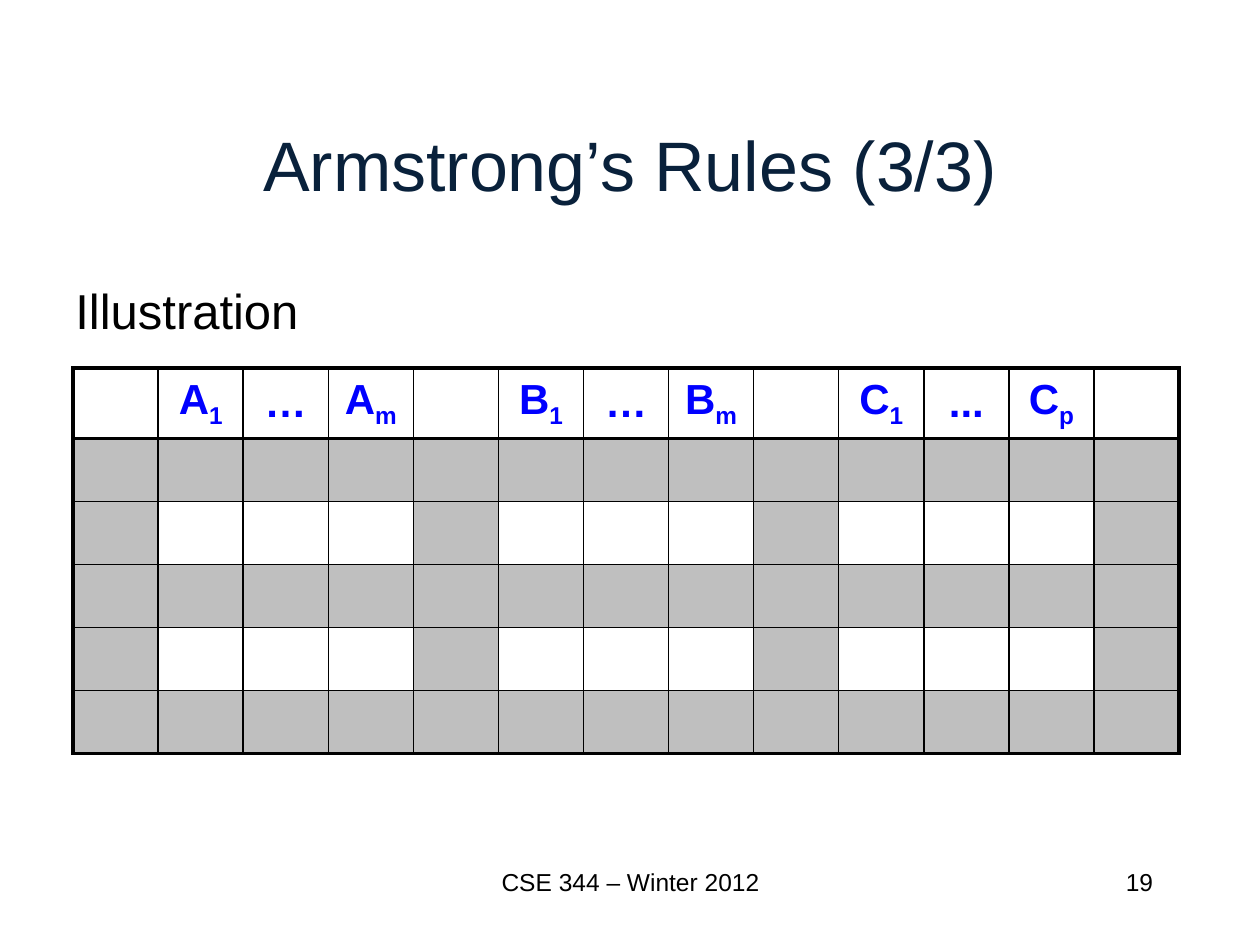
import pptx
import pptx.util
import pptx.dml.color
import pptx.enum.text
import pptx.oxml
import pptx.oxml.ns

Inches = pptx.util.Inches
Pt = pptx.util.Pt
Align = pptx.enum.text.PP_ALIGN
Anchor = pptx.enum.text.MSO_ANCHOR

BLACK = pptx.dml.color.RGBColor(0x00, 0x00, 0x00)
NAVY = pptx.dml.color.RGBColor(0x09, 0x21, 0x3B)
BLUE = pptx.dml.color.RGBColor(0x00, 0x00, 0xFF)
GRAY = pptx.dml.color.RGBColor(0xBF, 0xBF, 0xBF)

TITLE_FONT = {"name": "Arial", "size": Pt(40), "color": NAVY}
LABEL_FONT = {"name": "Arial", "size": Pt(28), "color": BLACK}
FOOTER_FONT = {"name": "Arial", "size": Pt(14), "color": BLACK}
HEADER_FONT = {"name": "Arial", "size": Pt(24), "color": BLUE, "bold": True}

THIN, THICK = 1, 2.25
HEADER_HEIGHT, ROW_HEIGHT, ROW_COUNT = 0.56, 0.5, 6
GROUPS = [("A", "…", "m"), ("B", "…", "m"), ("C", "...", "p")]
GROUP_SPAN = 4
COLUMN_COUNT = len(GROUPS) * GROUP_SPAN + 1


def format_font(font, values):
    for name, value in values.items():
        if name == "color":
            font.color.rgb = value
        else:
            setattr(font, name, value)


def write_text(shape, text, font, alignment, anchor=Anchor.TOP, wrap=True):
    frame = shape.text_frame
    frame.word_wrap = wrap
    frame.vertical_anchor = anchor
    paragraph = frame.paragraphs[0]
    paragraph.alignment = alignment
    run = paragraph.add_run()
    run.text = text
    format_font(run.font, font)


def place_title(slide, box, text):
    title = slide.shapes.title
    for name, value in zip(("left", "top", "width", "height"), box):
        setattr(title, name, Inches(value))
    write_text(title, text, TITLE_FONT, Align.CENTER, Anchor.MIDDLE)


def place_text(slide, box, *content, **options):
    shape = slide.shapes.add_textbox(*map(Inches, box))
    write_text(shape, *content, **options)


def set_borders(cell, widths):
    properties = cell._tc.get_or_add_tcPr()
    for side, width in widths.items():
        properties.append(pptx.oxml.parse_xml(
            f'<a:ln{side} {pptx.oxml.ns.nsdecls("a")} w="{int(Pt(width))}">'
            f'<a:solidFill><a:srgbClr val="{BLACK}"/></a:solidFill></a:ln{side}>'))


def write_header(cell, letter, subscript):
    cell.vertical_anchor = Anchor.MIDDLE
    paragraph = cell.text_frame.paragraphs[0]
    paragraph.alignment = Align.CENTER
    for text, baseline in ((letter, 0), (subscript, -25000)):
        if text:
            run = paragraph.add_run()
            run.text = text
            format_font(run.font, HEADER_FONT)
            run._r.get_or_add_rPr().set("baseline", str(baseline))


def place_table(slide, box):
    frame = slide.shapes.add_table(ROW_COUNT, COLUMN_COUNT, *map(Inches, box))
    table = frame.table
    table.first_row = table.horz_banding = False
    for column in table.columns:
        column.width = Inches(box[2] / COLUMN_COUNT)
    for index, row in enumerate(table.rows):
        row.height = Inches(ROW_HEIGHT if index else HEADER_HEIGHT)

    for row in range(ROW_COUNT):
        for column in range(COLUMN_COUNT):
            cell = table.cell(row, column)
            set_borders(cell, {
                "L": THICK if column == 0 else THIN,
                "R": THICK if column == COLUMN_COUNT - 1 else THIN,
                "T": THICK if row in (0, 1) else THIN,
                "B": THICK if row in (0, ROW_COUNT - 1) else THIN,
            })
            if row and (row % 2 or column % GROUP_SPAN == 0):
                cell.fill.solid()
                cell.fill.fore_color.rgb = GRAY
            else:
                cell.fill.background()

    for group, (letter, dots, last) in enumerate(GROUPS):
        labels = ((letter, "1"), (dots, ""), (letter, last))
        for offset, label in enumerate(labels, start=1):
            write_header(table.cell(0, group * GROUP_SPAN + offset), *label)


def main():
    presentation = pptx.Presentation()
    presentation.slide_width = Inches(10)
    presentation.slide_height = Inches(7.5)
    slide = presentation.slides.add_slide(presentation.slide_layouts[5])
    table_height = HEADER_HEIGHT + (ROW_COUNT - 1) * ROW_HEIGHT

    place_title(slide, (0.75, 0.67, 8.5, 1.25), "Armstrong’s Rules (3/3)")
    place_text(slide, (0.5, 2.18, 1.99, 0.57), "Illustration", LABEL_FONT,
               Align.LEFT, wrap=False)
    place_table(slide, (0.58, 2.92, 8.78, table_height))
    place_text(slide, (3.17, 6.83, 3.67, 0.5), "CSE 344 – Winter 2012",
               FOOTER_FONT, Align.CENTER)
    place_text(slide, (7.17, 6.83, 2.08, 0.5), "19", FOOTER_FONT, Align.RIGHT)
    presentation.save("out.pptx")


if __name__ == "__main__":
    main()
